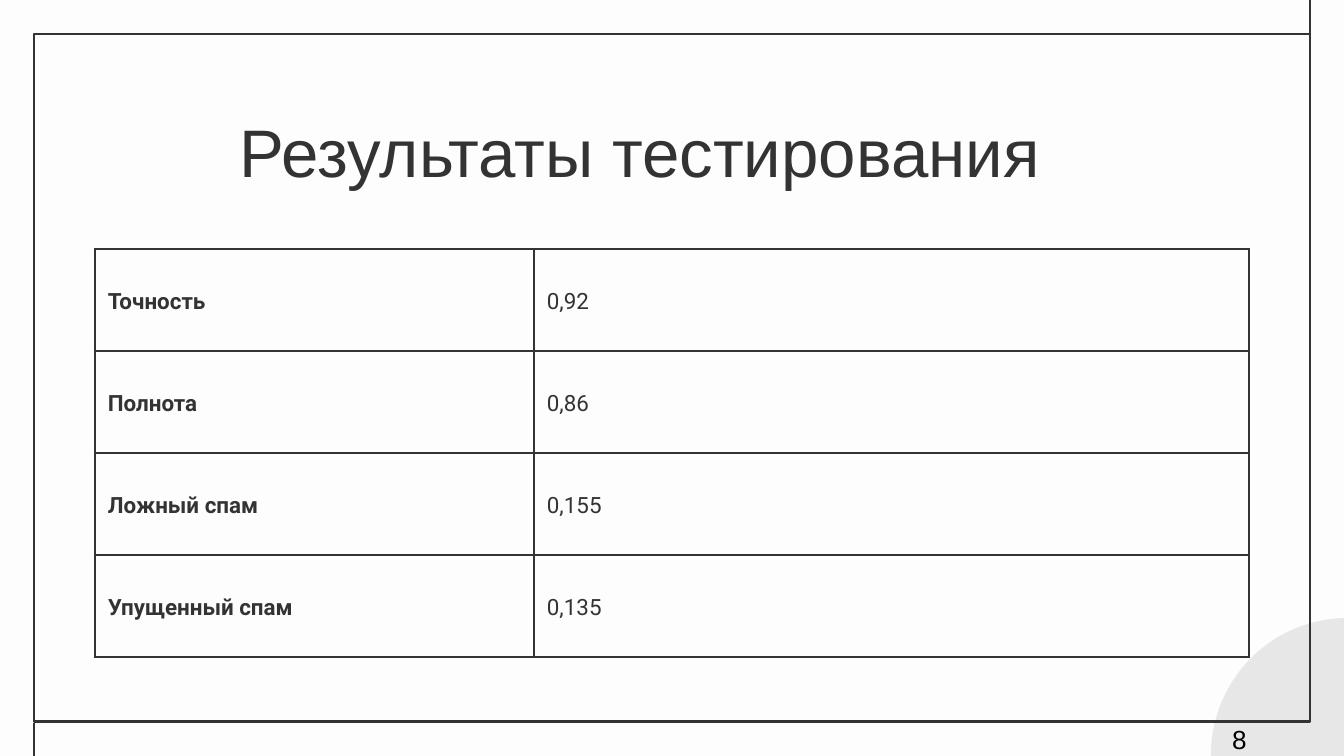
from lxml import etree
from pptx import Presentation
from pptx.dml.color import RGBColor
from pptx.enum.shapes import MSO_CONNECTOR, MSO_SHAPE
from pptx.enum.text import MSO_ANCHOR
from pptx.oxml.ns import qn
from pptx.util import Pt

PX = 914400 / 134.4
STRAIGHT = MSO_CONNECTOR.STRAIGHT
OVAL = MSO_SHAPE.OVAL
RECTANGLE = MSO_SHAPE.RECTANGLE
TOP = MSO_ANCHOR.TOP
MIDDLE = MSO_ANCHOR.MIDDLE

PAPER = RGBColor(0xFD, 0xFD, 0xFD)
INK = RGBColor(0x33, 0x33, 0x33)
GREY = RGBColor(0xE8, 0xE7, 0xE7)
BLACK = RGBColor(0, 0, 0)
STROKE = Pt(1.5)

TITLE = "Результаты тестирования"
PAGE = "8"
METRICS = [
    ("Точность", "0,92"),
    ("Полнота", "0,86"),
    ("Ложный спам", "0,155"),
    ("Упущенный спам", "0,135"),
]
COLUMNS = [439, 715]
ROW_HEIGHT = 102
TABLE_LEFT, TABLE_TOP = 95, 249
FRAME = (34, 34, 1276, 688)
CORNER_TICKS = [(1310, 35, 1310, -7), (34, 765, 34, 723)]


def px(*lengths):
    return [round(length * PX) for length in lengths]


def style(run, font, size, color, bold=False):
    run.font.name = font
    run.font.size = Pt(size)
    run.font.color.rgb = color
    run.font.bold = bold


def add_text(slide, box, insets, text, size, color):
    frame = slide.shapes.add_textbox(*px(*box)).text_frame
    frame.word_wrap = True
    frame.vertical_anchor = TOP
    (frame.margin_left, frame.margin_top,
     frame.margin_right, frame.margin_bottom) = px(*insets)
    frame.text = text
    style(frame.paragraphs[0].runs[0], "Arial", size, color)


def add_borders(cell):
    properties = cell._tc.get_or_add_tcPr()
    for side in ("a:lnL", "a:lnR", "a:lnT", "a:lnB"):
        border = etree.SubElement(properties, qn(side), w=str(STROKE))
        fill = etree.SubElement(border, qn("a:solidFill"))
        etree.SubElement(fill, qn("a:srgbClr"), val=str(INK))


def add_decor(slide):
    circle = slide.shapes.add_shape(OVAL, *px(1211, 618, 274, 274))
    circle.shadow.inherit = False
    circle.fill.solid()
    circle.fill.fore_color.rgb = GREY
    circle.line.fill.background()

    for ends in CORNER_TICKS:
        tick = slide.shapes.add_connector(STRAIGHT, *px(*ends))
        tick.line.color.rgb = INK
        tick.line.width = STROKE
        etree.SubElement(tick._element.spPr, qn("a:effectLst"))

    border = slide.shapes.add_shape(RECTANGLE, *px(*FRAME))
    border.shadow.inherit = False
    border.fill.background()
    border.line.color.rgb = INK
    border.line.width = STROKE


def add_metrics(slide):
    box = px(TABLE_LEFT, TABLE_TOP, sum(COLUMNS), ROW_HEIGHT * len(METRICS))
    table = slide.shapes.add_table(len(METRICS), len(COLUMNS), *box).table
    table.first_row = table.horz_banding = False
    for column, width in zip(table.columns, px(*COLUMNS)):
        column.width = width
    for row, metric in zip(table.rows, METRICS):
        row.height = px(ROW_HEIGHT)[0]
        for index, (cell, text) in enumerate(zip(row.cells, metric)):
            add_borders(cell)
            cell.fill.background()
            cell.vertical_anchor = MIDDLE
            cell.margin_left, cell.margin_right = px(13, 13)
            cell.margin_top = cell.margin_bottom = 0
            cell.text_frame.text = text
            paragraph = cell.text_frame.paragraphs[0]
            paragraph.line_spacing = 1.15
            style(paragraph.runs[0], "Roboto", 12, INK, index == 0)


def main():
    deck = Presentation()
    deck.slide_width, deck.slide_height = px(1344, 756)
    slide = deck.slides.add_slide(deck.slide_layouts[6])
    slide.background.fill.solid()
    slide.background.fill.fore_color.rgb = PAPER
    add_decor(slide)
    add_text(slide, (227, 90, 1133, 85), (13, 20, 13, 0), TITLE, 36, INK)
    add_metrics(slide)
    add_text(slide, (1219, 715, 302, 40), (13, 8, 13, 0), PAGE, 14, BLACK)
    deck.save("out.pptx")


if __name__ == "__main__":
    main()
